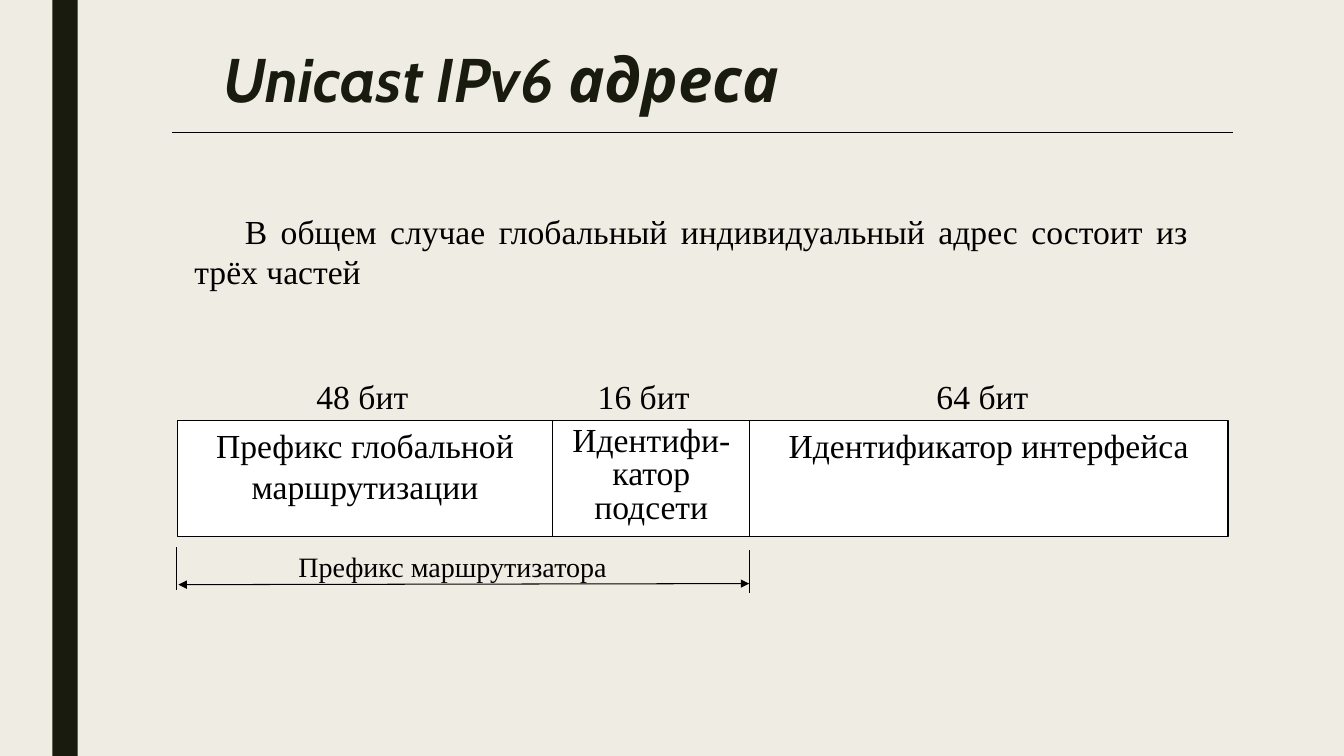
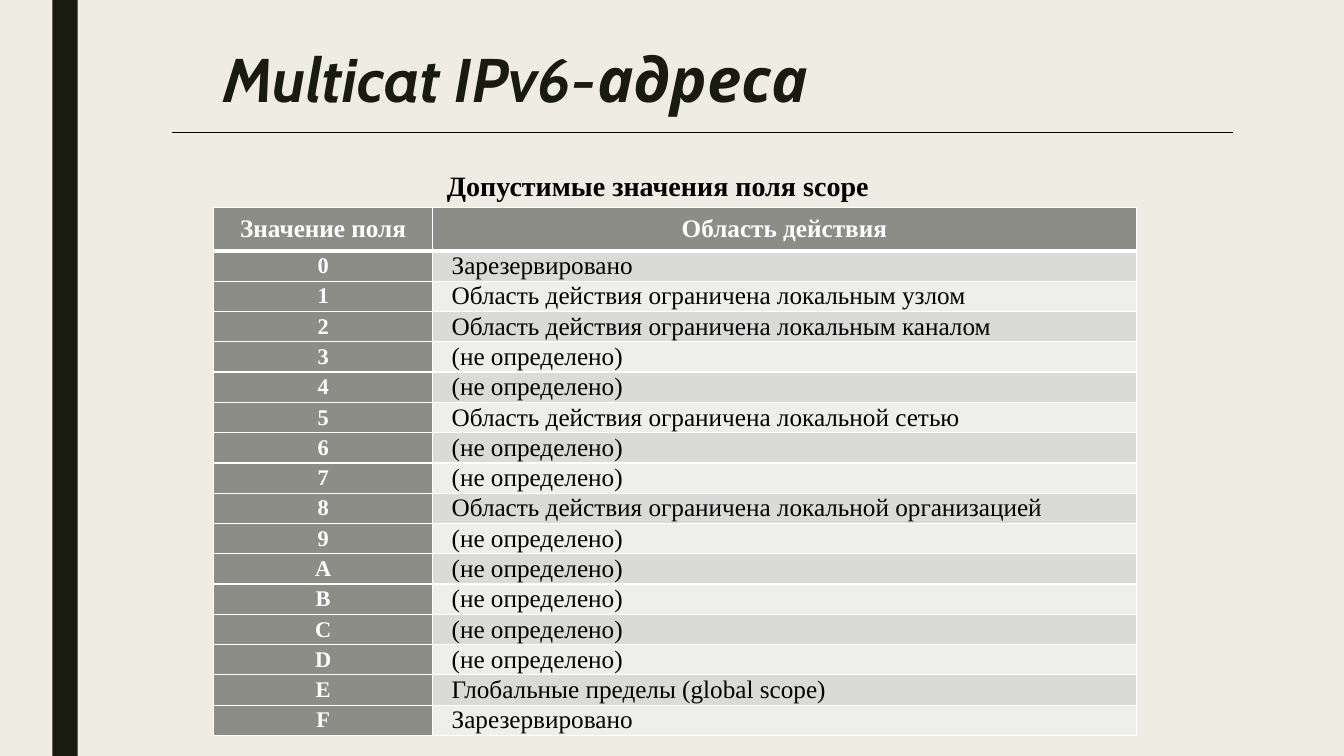
from dataclasses import dataclass

from lxml import etree
from pptx import Presentation
from pptx.dml.color import RGBColor
from pptx.enum.shapes import MSO_CONNECTOR, MSO_SHAPE
from pptx.enum.text import MSO_ANCHOR, MSO_AUTO_SIZE, PP_ALIGN
from pptx.oxml.ns import qn
from pptx.presentation import Presentation as Deck
from pptx.slide import Slide
from pptx.table import _Cell
from pptx.text.text import TextFrame, _Paragraph
from pptx.util import Inches, Pt

LEFT, CENTER, JUSTIFY = PP_ALIGN.LEFT, PP_ALIGN.CENTER, PP_ALIGN.JUSTIFY
TOP, MIDDLE = MSO_ANCHOR.TOP, MSO_ANCHOR.MIDDLE
NO_FIT, FIT_SHAPE = MSO_AUTO_SIZE.NONE, MSO_AUTO_SIZE.SHAPE_TO_FIT_TEXT
RECTANGLE, STRAIGHT = MSO_SHAPE.RECTANGLE, MSO_CONNECTOR.STRAIGHT
TITLE_ONLY = 5


@dataclass(frozen=True)
class Theme:
    paper: str = "EFEDE3"
    dark: str = "191B0E"
    ink: str = "000000"
    white: str = "FFFFFF"
    header: str = "8C8D86"
    odd_row: str = "DADBD9"
    even_row: str = "EEEEED"
    title_font: str = "Cabin"
    body_font: str = "Times New Roman"
    title_size: int = 44
    body_size: int = 24
    caption_size: int = 20
    table_size: int = 18
    code_size: int = 16
    hairline: float = 0.75


THEME = Theme()


@dataclass(frozen=True)
class Box:
    left: float
    top: float
    width: float
    height: float

    def lengths(self) -> tuple[Inches, ...]:
        return tuple(map(Inches, (self.left, self.top, self.width, self.height)))


@dataclass(frozen=True)
class AddressField:
    bits: str
    bits_left: float
    name: str
    left: float
    width: float
    leading: int | None = None


ADDRESS_FIELDS = (
    AddressField("48 бит", 3.04, "Префикс глобальной маршрутизации", 1.76, 3.72),
    AddressField("16 бит", 5.83, "Идентифи-катор подсети", 5.48, 1.96, leading=24),
    AddressField("64 бит", 9.19, "Идентификатор интерфейса", 7.43, 4.75),
)
FIELD_TOP, FIELD_HEIGHT = 4.17, 1.15

UNDEFINED = "(не определено)"
RESERVED = "Зарезервировано"
SCOPES = {
    "0": RESERVED,
    "1": "Область действия ограничена локальным узлом",
    "2": "Область действия ограничена локальным каналом",
    "5": "Область действия ограничена локальной сетью",
    "8": "Область действия ограничена локальной организацией",
    "E": "Глобальные пределы (global scope)",
    "F": RESERVED,
}


def rgb(color: str) -> RGBColor:
    return RGBColor.from_string(color)


def write(frame: TextFrame, text: str, size: int, color: str = THEME.ink,
          align: PP_ALIGN = LEFT, bold: bool = False,
          font: str = THEME.body_font) -> _Paragraph:
    frame.text = text
    paragraph = frame.paragraphs[0]
    paragraph.alignment = align
    paragraph.font.name = font
    paragraph.font.size = Pt(size)
    paragraph.font.bold = bold
    paragraph.font.color.rgb = rgb(color)
    return paragraph


def indent(paragraph: _Paragraph, margin: float = 0, first_line: float = 0) -> None:
    properties = paragraph._p.get_or_add_pPr()
    properties.set("marL", str(Inches(margin)))
    properties.set("indent", str(Inches(first_line)))


def add_text(slide: Slide, box: Box, text: str, size: int, align: PP_ALIGN = LEFT,
             bold: bool = False, wrap: bool = True) -> _Paragraph:
    frame = slide.shapes.add_textbox(*box.lengths()).text_frame
    frame.word_wrap = wrap
    return write(frame, text, size, align=align, bold=bold)


def add_line(slide: Slide, start: tuple[float, float], end: tuple[float, float],
             arrows: bool = False) -> None:
    line = slide.shapes.add_connector(STRAIGHT, *map(Inches, start + end))
    line.line.color.rgb = rgb(THEME.ink)
    line.line.width = Pt(THEME.hairline)
    if arrows:
        outline = line.line._get_or_add_ln()
        for tip in ("a:headEnd", "a:tailEnd"):
            etree.SubElement(outline, qn(tip), type="triangle")
    etree.SubElement(line._element.spPr, qn("a:effectLst"))


def add_rectangle(slide: Slide, box: Box, fill: str,
                  outline: str | None = None) -> TextFrame:
    rectangle = slide.shapes.add_shape(RECTANGLE, *box.lengths())
    rectangle.shadow.inherit = False
    rectangle.fill.solid()
    rectangle.fill.fore_color.rgb = rgb(fill)
    if outline:
        rectangle.line.color.rgb = rgb(outline)
        rectangle.line.width = Pt(THEME.hairline)
    else:
        rectangle.line.fill.background()
    return rectangle.text_frame


def add_titled_slide(deck: Deck, heading: str) -> Slide:
    """Add a slide with the side band, the title and the rule under it."""
    slide = deck.slides.add_slide(deck.slide_layouts[TITLE_ONLY])
    add_rectangle(slide, Box(0.52, 0, 0.25, 7.5), THEME.dark)
    title = slide.shapes.title
    title.left, title.top, title.width, title.height = Box(2.12, 0.44, 10.1, 0.79).lengths()
    frame = title.text_frame
    frame.auto_size = NO_FIT
    frame.vertical_anchor = TOP
    paragraph = write(frame, heading, THEME.title_size, THEME.dark, bold=True,
                      font=THEME.title_font)
    paragraph.font.italic = True
    paragraph.line_spacing = 0.89
    add_line(slide, (1.71, 1.31), (12.23, 1.31))
    return slide


def add_address_field(slide: Slide, field: AddressField) -> None:
    frame = add_rectangle(slide, Box(field.left, FIELD_TOP, field.width, FIELD_HEIGHT),
                          THEME.white, THEME.ink)
    frame.vertical_anchor = TOP
    name = write(frame, field.name, THEME.body_size, align=CENTER)
    if field.leading:
        name.line_spacing = Pt(field.leading)
    add_text(slide, Box(field.bits_left, 3.68, 1.27, 0.49), field.bits, THEME.body_size)


def build_unicast(deck: Deck) -> None:
    slide = add_titled_slide(deck, "Unicast IPv6 адреса")
    intro = add_text(slide, Box(1.83, 2.04, 10.05, 0.91),
                     "В общем случае глобальный индивидуальный адрес состоит из трёх частей",
                     THEME.body_size, JUSTIFY)
    intro.space_after = Pt(6)
    indent(intro, first_line=0.5)
    for field in ADDRESS_FIELDS:
        add_address_field(slide, field)

    prefix_left, prefix_right = 1.75, ADDRESS_FIELDS[-1].left
    for x, top in ((prefix_left, 5.43), (prefix_right, 5.46)):
        add_line(slide, (x, top), (x, top + 0.42))
    add_line(slide, (prefix_left + 0.02, 5.8), (prefix_right, 5.79), arrows=True)
    add_text(slide, Box(2.86, 5.4, 4.82, 0.49), "Префикс маршрутизатора",
             THEME.caption_size)


def style_cell(cell: _Cell, fill: str, top: int = 1, bottom: int = 1) -> None:
    """Set fill, margins and white borders; top and bottom are widths in points."""
    cell.vertical_anchor = MIDDLE
    cell.margin_left = cell.margin_right = Inches(0.07)
    cell.margin_top = cell.margin_bottom = 0
    properties = cell._tc.get_or_add_tcPr()
    for side, width in (("L", 1), ("R", 1), ("T", top), ("B", bottom)):
        border = etree.SubElement(properties, qn(f"a:ln{side}"), w=str(Pt(width)))
        solid = etree.SubElement(border, qn("a:solidFill"))
        etree.SubElement(solid, qn("a:srgbClr"), val=THEME.white)
    cell.fill.solid()
    cell.fill.fore_color.rgb = rgb(fill)


def add_scope_table(slide: Slide) -> None:
    codes = "0123456789ABCDEF"
    header_height, row_height = 0.43, 0.3
    widths = (2.17, 6.98)
    box = Box(2.12, 2.06, sum(widths), header_height + row_height * len(codes))
    table = slide.shapes.add_table(len(codes) + 1, len(widths), *box.lengths()).table
    for column, width in zip(table.columns, widths):
        column.width = Inches(width)
    for row in table.rows:
        row.height = Inches(row_height)
    table.rows[0].height = Inches(header_height)

    for column, heading in enumerate(("Значение поля", "Область действия")):
        cell = table.cell(0, column)
        style_cell(cell, THEME.header, bottom=3)
        write(cell.text_frame, heading, THEME.table_size, THEME.white, CENTER, bold=True)

    for row, code in enumerate(codes, start=1):
        top = 3 if row == 1 else 1
        code_cell, scope_cell = table.cell(row, 0), table.cell(row, 1)
        style_cell(code_cell, THEME.header, top)
        write(code_cell.text_frame, code, THEME.code_size, THEME.white, CENTER, bold=True)
        style_cell(scope_cell, THEME.odd_row if row % 2 else THEME.even_row, top)
        scope = write(scope_cell.text_frame, SCOPES.get(code, UNDEFINED), THEME.table_size)
        indent(scope, margin=0.12)


def build_multicast(deck: Deck) -> None:
    slide = add_titled_slide(deck, "Multicat IPv6-адреса")
    caption = add_text(slide, Box(3.82, 1.62, 4.92, 0.44), "Допустимые значения поля scope",
                       THEME.caption_size, CENTER, bold=True, wrap=False)
    caption.space_before = caption.space_after = Pt(6)
    indent(caption, first_line=0.49)
    add_scope_table(slide)


def main() -> None:
    deck = Presentation()
    deck.slide_width, deck.slide_height = Inches(13.33), Inches(7.5)
    background = deck.slide_master.background.fill
    background.solid()
    background.fore_color.rgb = rgb(THEME.paper)
    build_unicast(deck)
    build_multicast(deck)
    deck.save("out.pptx")


if __name__ == "__main__":
    main()
